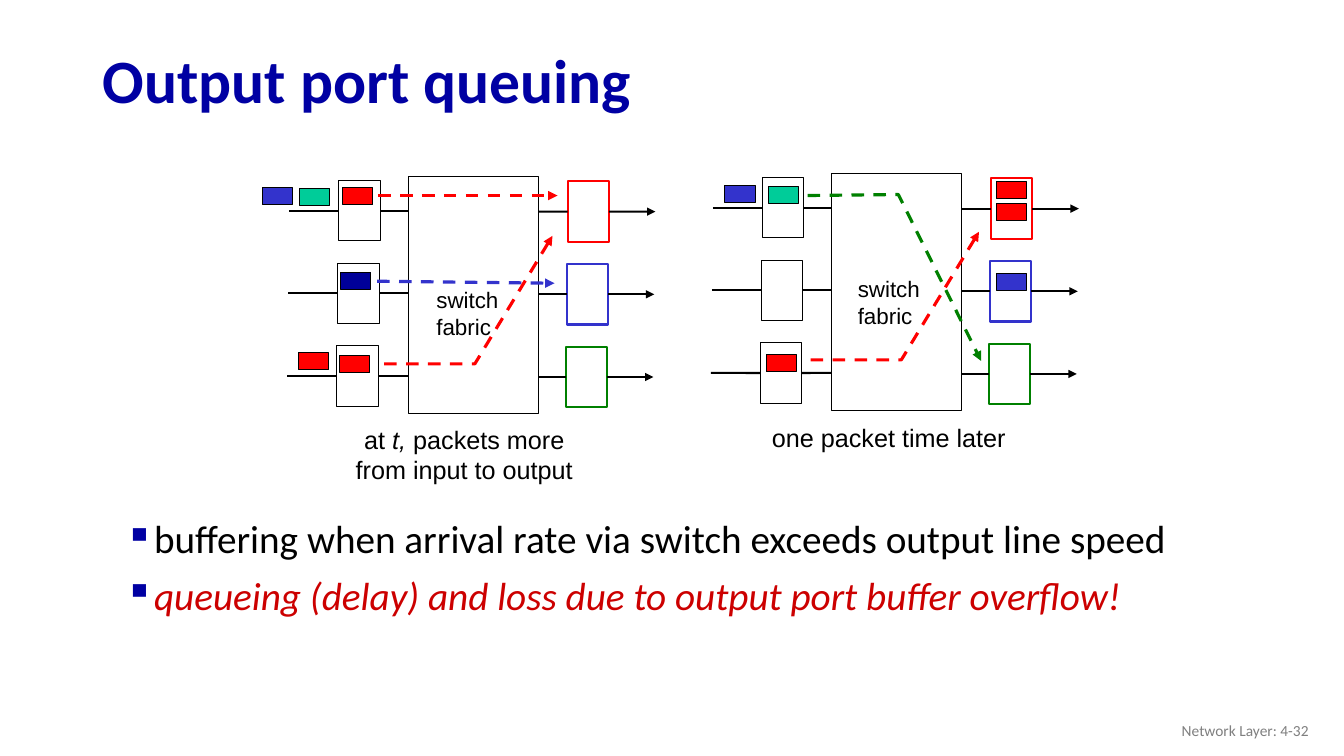
import pptx
import pptx.dml.color
import pptx.enum.dml
import pptx.enum.shapes
import pptx.enum.text
import pptx.oxml
import pptx.oxml.ns
import pptx.util
from lxml import etree

Inches = pptx.util.Inches
Pt = pptx.util.Pt
ALIGN = pptx.enum.text.PP_ALIGN
ANCHOR = pptx.enum.text.MSO_ANCHOR

BLACK, WHITE, GREY = "000000", "FFFFFF", "7F7F7F"
NAVY, INK, BLUE = "0000A3", "000099", "3333CC"
RED, GREEN, TEAL, CRIMSON = "FF0000", "008000", "00CC99", "CC0000"
LEFT, RIGHT = 1, 3


def colour(value):
    return pptx.dml.color.RGBColor.from_string(value)


def assign(target, values):
    for name, value in values.items():
        setattr(target, name, value)


def child(parent, tag, **attributes):
    return etree.SubElement(parent, pptx.oxml.ns.qn(tag), attributes)


class PortSlide:
    """Draws styled elements on the current slide."""

    def __init__(self, slide):
        self.slide = slide
        self.shapes = slide.shapes

    def outline(self, shape, line_colour, width, dashed=False, arrow=False):
        shape.line.color.rgb = colour(line_colour)
        shape.line.width = Pt(width)
        if dashed:
            shape.line.dash_style = pptx.enum.dml.MSO_LINE.DASH
        if arrow:
            child(shape._element.spPr.get_or_add_ln(), "a:tailEnd", type="triangle")

    def box(self, x, y, w, h, fill=WHITE, border=BLACK, width=0.75):
        box = self.shapes.add_shape(pptx.enum.shapes.MSO_SHAPE.RECTANGLE,
                                    Inches(x), Inches(y), Inches(w), Inches(h))
        box.shadow.inherit = False
        box.fill.solid()
        box.fill.fore_color.rgb = colour(fill)
        self.outline(box, border, width)
        return box

    def packet(self, x, y, fill):
        self.box(x, y, 0.3, 0.17, fill)

    def link(self, start, end, line_colour=BLACK, width=1.5, dashed=False,
             arrow=False, begin=None, finish=None):
        link = self.shapes.add_connector(pptx.enum.shapes.MSO_CONNECTOR.STRAIGHT,
                                         *map(Inches, start + end))
        if begin:
            link.begin_connect(*begin)
        if finish:
            link.end_connect(*finish)
        self.outline(link, line_colour, width, dashed, arrow)
        child(link._element.spPr, "a:effectLst")

    def route(self, line_colour, *points):
        if len(points) == 2:
            self.link(*points, line_colour, 2.25, dashed=True, arrow=True)
            return
        corners = [tuple(map(Inches, point)) for point in points]
        builder = self.shapes.build_freeform(*corners[0])
        builder.add_line_segments(corners[1:], close=False)
        bend = builder.convert_to_shape()
        bend.shadow.inherit = False
        bend.fill.background()
        self.outline(bend, line_colour, 2.25, dashed=True, arrow=True)

    def fill_text(self, frame, paragraphs, size, font="Calibri", ink=BLACK, bold=False,
                  anchor=ANCHOR.TOP, bullet=None, **layout):
        assign(frame, {
            "word_wrap": True, "vertical_anchor": anchor,
            "auto_size": pptx.enum.text.MSO_AUTO_SIZE.NONE,
            "margin_left": Inches(0.1), "margin_right": Inches(0.1),
            "margin_top": Inches(0.05), "margin_bottom": Inches(0.05)})
        for index, runs in enumerate(paragraphs):
            paragraph = frame.paragraphs[0] if index == 0 else frame.add_paragraph()
            assign(paragraph, layout)
            if bullet:
                if index:
                    paragraph.space_before = Pt(10)
                properties = paragraph._p.get_or_add_pPr()
                properties.set("marL", str(Inches(0.39)))
                properties.set("indent", str(Inches(-0.24)))
                child(child(properties, "a:buClr"), "a:srgbClr", val=NAVY)
                child(properties, "a:buChar", char=bullet)
            for words, changes in runs:
                run = paragraph.add_run()
                run.text = words
                assign(run.font, {"name": font, "size": Pt(size), "bold": bold,
                                  "italic": changes.get("italic", False)})
                run.font.color.rgb = colour(changes.get("ink", ink))

    def title(self, words):
        title = self.shapes.title
        assign(title, {"left": Inches(0.92), "top": Inches(0.34),
                       "width": Inches(11.5), "height": Inches(0.98)})
        self.fill_text(title.text_frame, [[(words, {})]], 44, ink=NAVY, bold=True,
                       anchor=ANCHOR.MIDDLE, alignment=ALIGN.LEFT, line_spacing=0.9)

    def text(self, x, y, w, h, paragraphs, size, **style):
        text = self.shapes.add_textbox(Inches(x), Inches(y), Inches(w), Inches(h))
        self.fill_text(text.text_frame, paragraphs, size, **style)

    def switch(self, dx, dy):
        self.box(4.05 + dx, 1.75 + dy, 1.29, 2.35)
        for row, port_colour in enumerate((RED, BLUE, GREEN)):
            x, y = dx - 0.01 * row, 1.79 + dy + 0.82 * row
            middle = y + 0.3
            source = self.box(3.36 + x, y, 0.41, 0.6)
            target = self.box(5.63 + x, y + 0.01, 0.41, 0.6, border=port_colour, width=1.5)
            self.link((2.87 + x, middle), (3.36 + x, middle), finish=(source, LEFT))
            self.link((3.77 + x, middle), (4.05 + dx, middle), begin=(source, RIGHT))
            self.link((5.34 + dx, middle + 0.01), (5.63 + x, middle + 0.01),
                      finish=(target, LEFT))
            self.link((6.04 + x, middle + 0.01), (6.5 + x, middle + 0.01),
                      arrow=True, begin=(target, RIGHT))


def main():
    deck = pptx.Presentation()
    deck.slide_width, deck.slide_height = Inches(13.33), Inches(7.5)
    page = PortSlide(deck.slides.add_slide(deck.slide_layouts[5]))
    page.title("Output port queuing")

    for dx, dy in ((0, 0), (4.2, -0.03)):
        page.switch(dx, dy)

    packets = (
        (2.6, 1.86, BLUE), (2.97, 1.87, TEAL), (3.4, 1.86, RED),
        (3.38, 2.7, INK), (2.96, 3.5, RED), (3.37, 3.53, RED),
        (7.19, 1.84, BLUE), (7.62, 1.85, TEAL), (7.6, 3.52, RED),
        (9.88, 1.8, RED), (9.88, 2.02, RED), (9.88, 2.71, BLUE))
    for packet in packets:
        page.packet(*packet)

    for x, y in ((4.23, 2.79), (8.41, 2.68)):
        page.text(x, y, 0.9, 0.64, [[("switch", {})], [("fabric", {})]], 16, font="Arial")

    page.route(RED, (3.75, 1.94), (5.53, 1.94))
    page.route(BLUE, (3.74, 2.79), (5.5, 2.81))
    page.route(RED, (3.81, 3.61), (4.71, 3.61), (5.48, 2.34))
    page.route(RED, (8.04, 3.57), (8.94, 3.57), (9.71, 2.3))
    page.route(GREEN, (8.01, 1.94), (8.91, 1.93), (9.73, 3.58))

    now = [[("at ", {}), ("t,", {"italic": True}), (" packets more", {})],
           [("from input to output", {})]]
    later = [[("one packet time later", {})]]
    for x, y, h, caption in ((3.26, 4.16, 0.7, now), (7.47, 4.14, 0.4, later)):
        page.text(x, y, 2.69, h, caption, 18, font="Arial", alignment=ALIGN.CENTER)

    page.text(0.99, 5.11, 11, 1.92, [
        [("buffering when arrival rate via switch exceeds output line speed", {})],
        [("queueing (delay) and loss due to output port buffer overflow!",
          {"ink": CRIMSON, "italic": True})],
    ], 28, bullet="▪", line_spacing=0.9)
    page.text(10.08, 7.05, 3, 0.4, [[("Network Layer: 4-32", {})]], 11, ink=GREY,
              anchor=ANCHOR.MIDDLE, alignment=ALIGN.RIGHT)
    deck.save("out.pptx")


if __name__ == "__main__":
    main()
